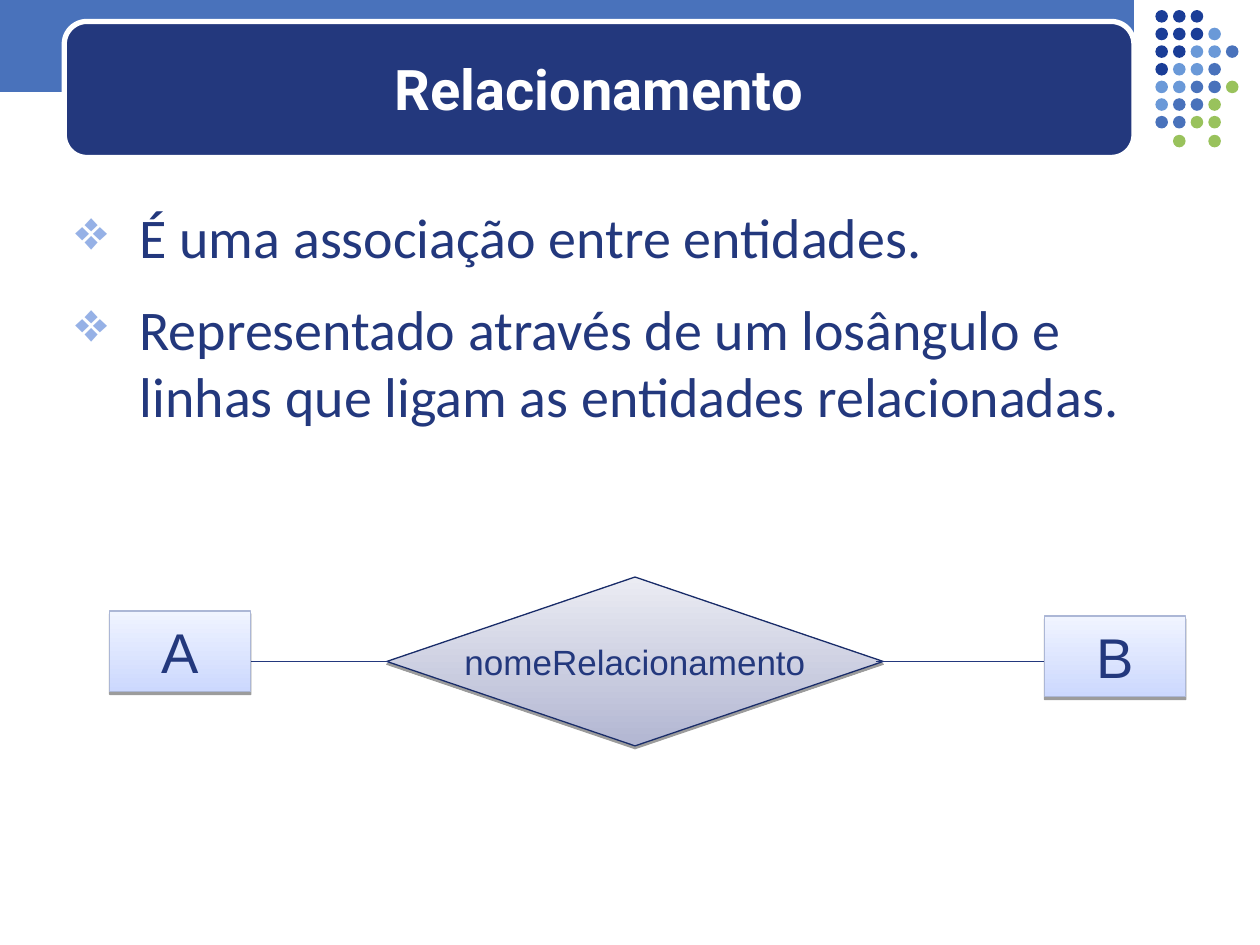
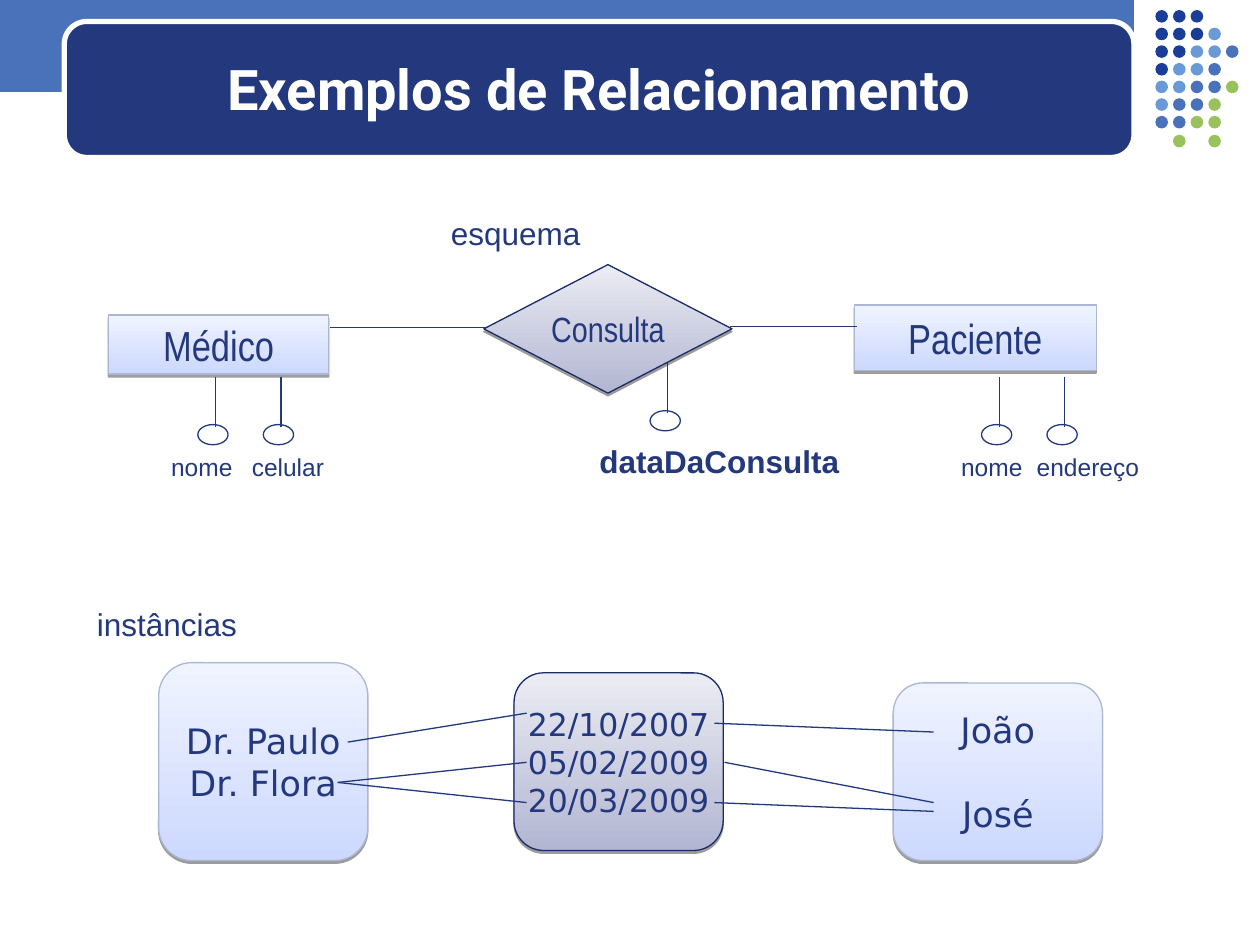
"""Build two slides that explain relationships between entities."""
from dataclasses import dataclass

import pptx
import pptx.dml.color
import pptx.enum.shapes
import pptx.enum.text
import pptx.oxml
import pptx.oxml.ns
import pptx.presentation
import pptx.shapes.base
import pptx.slide
import pptx.util

PX = 9144
SHAPES = pptx.enum.shapes.MSO_SHAPE
ANCHORS = pptx.enum.text.MSO_ANCHOR
ALIGNS = pptx.enum.text.PP_ALIGN
COLORS = {
    "white": "FFFFFF",
    "navy": "23387D",
    "band": "4972BB",
    "bullet": "96B1E6",
    "entity_low": "CCD8FE",
    "entity_high": "F0F4FF",
    "entity_edge": "ACB7D6",
    "relation_low": "B2B6D2",
    "relation_high": "EBECF3",
    "relation_edge": "192C69",
    "D": "1A3D97",
    "L": "6A99D8",
    "M": "4972BB",
    "G": "99C25C",
}
DOT_ROWS = ("DDD", "DDDL", "DDLLM", "DLLM", "LLMMG", "LMMG", "MMGG", " G G")


@dataclass(frozen=True)
class Box:
    """A rectangle in px."""

    left: int
    top: int
    width: int
    height: int


@dataclass(frozen=True)
class TextStyle:
    """How a block of text looks."""

    size: int
    font: str = "Arial"
    color: str = "navy"
    bold: bool = False
    align: ALIGNS = ALIGNS.LEFT
    anchor: ANCHORS = ANCHORS.TOP
    wrap: bool = True
    bulleted: bool = False


@dataclass(frozen=True)
class Node:
    """An entity, relationship or set of instances."""

    outline: SHAPES
    role: str
    box: Box
    lines: tuple[str, ...]
    size: int
    font: str = "Arial"
    anchor: ANCHORS = ANCHORS.MIDDLE
    line_gap: int = 0


@dataclass(frozen=True)
class Link:
    """A straight line between two points in px."""

    x1: int
    y1: int
    x2: int
    y2: int


@dataclass(frozen=True)
class Attribute:
    """A stem hanging from a node and its oval end."""

    x: int
    top: int


@dataclass(frozen=True)
class Label:
    """A free-standing line of text."""

    text: str
    box: Box
    size: int
    bold: bool = False


BAND = Box(0, 0, 900, 73)
TITLE_PLATE = Box(51, 17, 849, 108)
TITLE_BOX = Box(60, 23, 831, 94)
BODY_BOX = Box(50, 156, 917, 535)
TITLE_STYLE = TextStyle(32, "Roboto", "white", True, ALIGNS.CENTER, ANCHORS.MIDDLE)
BODY_STYLE = TextStyle(32, "Calibri", bulleted=True)

DEFINITION = (
    "É uma associação entre entidades.",
    "Representado através de um losângulo e linhas que ligam as entidades relacionadas.",
)
GENERIC_RELATION = Node(
    SHAPES.DIAMOND, "relation", Box(307, 458, 394, 134), ("nomeRelacionamento",), 20)
GENERIC_LINKS = (Link(152, 525, 309, 525), Link(695, 525, 853, 525))
GENERIC_ENTITIES = tuple(
    Node(SHAPES.RECTANGLE, "entity", Box(left, top, 112, 64), (name,), 32, anchor=ANCHORS.TOP)
    for name, left, top in (("A", 87, 485), ("B", 829, 489))
)

SCHEMA = (
    Node(SHAPES.RECTANGLE, "entity", Box(86, 250, 175, 47), ("Médico",), 24, "Arial Narrow"),
    Node(SHAPES.RECTANGLE, "entity", Box(678, 242, 192, 52), ("Paciente",), 24, "Arial Narrow"),
    Node(SHAPES.FLOWCHART_DECISION, "relation", Box(384, 210, 197, 102), ("Consulta",), 20,
         "Arial Narrow"),
)
SCHEMA_LINKS = (Link(262, 260, 387, 260), Link(579, 259, 680, 259))
ATTRIBUTES = (
    Attribute(530, 288),
    *(Attribute(x, 299) for x in (171, 223, 793, 845)),
)
LABELS = (
    Label("esquema", Box(348, 165, 140, 40), 18),
    Label("instâncias", Box(67, 475, 150, 40), 18),
    Label("dataDaConsulta", Box(466, 346, 230, 40), 18, True),
    *(
        Label(text, Box(left, 354, 120, 34), 14)
        for text, left in (("nome", 126), ("celular", 190), ("nome", 753), ("endereço", 813))
    ),
)
INSTANCES = (
    Node(SHAPES.ROUNDED_RECTANGLE, "entity", Box(126, 526, 166, 157),
         ("Dr. Paulo", "Dr. Flora"), 20, "DejaVu Sans"),
    Node(SHAPES.ROUNDED_RECTANGLE, "entity", Box(709, 542, 166, 141),
         ("João", "José"), 20, "DejaVu Sans", line_gap=24),
    Node(SHAPES.ROUNDED_RECTANGLE, "relation", Box(408, 534, 166, 141),
         ("22/10/2007", "05/02/2009", "20/03/2009"), 18, "DejaVu Sans"),
)
INSTANCE_LINKS = (
    Link(276, 589, 418, 566),
    Link(741, 581, 567, 574),
    Link(268, 621, 418, 605),
    Link(268, 621, 418, 637),
    Link(741, 637, 575, 605),
    Link(741, 644, 567, 637),
)


def rgb(color: str) -> pptx.dml.color.RGBColor:
    """Look up a named colour."""
    return pptx.dml.color.RGBColor.from_string(COLORS[color])


def emu(box: Box) -> tuple[int, int, int, int]:
    """Turn a box into EMU."""
    return box.left * PX, box.top * PX, box.width * PX, box.height * PX


def append_xml(parent: pptx.oxml.xmlchemy.BaseOxmlElement, tag: str, content: str = "",
               **attributes: str) -> None:
    """Append one drawing element to a parent."""
    pairs = "".join(f' {key}="{value}"' for key, value in attributes.items())
    namespace = pptx.oxml.ns.nsdecls("a")
    parent.append(pptx.oxml.parse_xml(f"<a:{tag} {namespace}{pairs}>{content}</a:{tag}>"))


def write(shape: pptx.shapes.base.BaseShape, lines: tuple[str, ...], style: TextStyle,
          line_gap: int = 0) -> None:
    """Write styled paragraphs into a shape."""
    frame = shape.text_frame
    frame.word_wrap = style.wrap
    frame.vertical_anchor = style.anchor
    frame.text = "\n".join(lines)
    for index, paragraph in enumerate(frame.paragraphs):
        paragraph.alignment = style.align
        if line_gap and index:
            paragraph.space_before = pptx.util.Pt(line_gap)
        if style.bulleted:
            paragraph.space_before = pptx.util.Pt(8)
            paragraph.space_after = pptx.util.Pt(6)
            properties = paragraph._p.get_or_add_pPr()
            properties.set("marL", str(51 * PX))
            properties.set("indent", str(-51 * PX))
            append_xml(properties, "buClr", f'<a:srgbClr val="{COLORS["bullet"]}"/>')
            append_xml(properties, "buChar", char="❖")
        font = paragraph.font
        font.name = style.font
        font.size = pptx.util.Pt(style.size)
        font.bold = style.bold
        font.color.rgb = rgb(style.color)


def draw_shape(slide: pptx.slide.Slide, outline: SHAPES, box: Box, fill: str = "",
               edge: str = "", edge_width: float = 0.75) -> pptx.shapes.base.BaseShape:
    """Draw a flat preset shape."""
    shape = slide.shapes.add_shape(outline, *emu(box))
    shape.shadow.inherit = False
    if fill:
        shape.fill.solid()
        shape.fill.fore_color.rgb = rgb(fill)
    else:
        shape.fill.background()
    if edge:
        shape.line.color.rgb = rgb(edge)
        shape.line.width = pptx.util.Pt(edge_width)
    else:
        shape.line.fill.background()
    return shape


def draw_text(slide: pptx.slide.Slide, box: Box, lines: tuple[str, ...],
              style: TextStyle) -> None:
    """Draw a text box."""
    write(slide.shapes.add_textbox(*emu(box)), lines, style)


def draw_node(slide: pptx.slide.Slide, node: Node) -> None:
    """Draw a shaded node with its text."""
    shape = draw_shape(slide, node.outline, node.box, edge=f"{node.role}_edge")
    shape.fill.gradient()
    shape.fill.gradient_angle = 90
    for stop, level in zip(shape.fill.gradient_stops, ("low", "high")):
        stop.color.rgb = rgb(f"{node.role}_{level}")
    effects = shape._element.spPr.find(pptx.oxml.ns.qn("a:effectLst"))
    append_xml(effects, "outerShdw",
               '<a:srgbClr val="000000"><a:alpha val="38000"/></a:srgbClr>',
               blurRad="0", dist="20320", dir="5400000", rotWithShape="0")
    style = TextStyle(node.size, node.font, align=ALIGNS.CENTER, anchor=node.anchor, wrap=False)
    write(shape, node.lines, style, node.line_gap)


def draw_link(slide: pptx.slide.Slide, link: Link) -> None:
    """Draw a thin line."""
    connector = slide.shapes.add_connector(
        pptx.enum.shapes.MSO_CONNECTOR.STRAIGHT,
        link.x1 * PX, link.y1 * PX, link.x2 * PX, link.y2 * PX)
    connector.line.color.rgb = rgb("navy")
    connector.line.width = pptx.util.Pt(0.75)
    append_xml(connector._element.spPr, "effectLst")


def draw_attribute(slide: pptx.slide.Slide, attribute: Attribute) -> None:
    """Draw an attribute stem and its oval."""
    x, top = attribute.x, attribute.top
    draw_link(slide, Link(x, top, x, top + 40))
    draw_shape(slide, SHAPES.OVAL, Box(x - 14, top + 38, 24, 16), edge="navy")


def add_titled_slide(deck: pptx.presentation.Presentation, title: str) -> pptx.slide.Slide:
    """Add a slide with the shared band, dots and title."""
    slide = deck.slides.add_slide(deck.slide_layouts[6])
    draw_shape(slide, SHAPES.RECTANGLE, BAND, "band")
    draw_shape(slide, SHAPES.ROUNDED_RECTANGLE, TITLE_PLATE, "navy", "white", 3)
    for row, dots in enumerate(DOT_ROWS):
        for column, color in enumerate(dots):
            if color in COLORS:
                dot = Box(917 + 14 * column, 8 + row * 99 // 7, 10, 10)
                draw_shape(slide, SHAPES.OVAL, dot, color)
    draw_text(slide, TITLE_BOX, (title,), TITLE_STYLE)
    return slide


def build_definition(deck: pptx.presentation.Presentation) -> None:
    """Build the slide that defines a relationship."""
    slide = add_titled_slide(deck, "Relacionamento")
    draw_text(slide, BODY_BOX, DEFINITION, BODY_STYLE)
    draw_node(slide, GENERIC_RELATION)
    for link in GENERIC_LINKS:
        draw_link(slide, link)
    for entity in GENERIC_ENTITIES:
        draw_node(slide, entity)


def build_examples(deck: pptx.presentation.Presentation) -> None:
    """Build the slide with a schema and its instances."""
    slide = add_titled_slide(deck, "Exemplos de Relacionamento")
    for node in SCHEMA + INSTANCES:
        draw_node(slide, node)
    for link in SCHEMA_LINKS + INSTANCE_LINKS:
        draw_link(slide, link)
    for attribute in ATTRIBUTES:
        draw_attribute(slide, attribute)
    for label in LABELS:
        draw_text(slide, label.box, (label.text,), TextStyle(label.size, bold=label.bold))


def main() -> None:
    """Build and save the deck."""
    deck = pptx.Presentation()
    deck.slide_width, deck.slide_height = 1000 * PX, 750 * PX
    build_definition(deck)
    build_examples(deck)
    deck.save("out.pptx")


if __name__ == "__main__":
    main()
